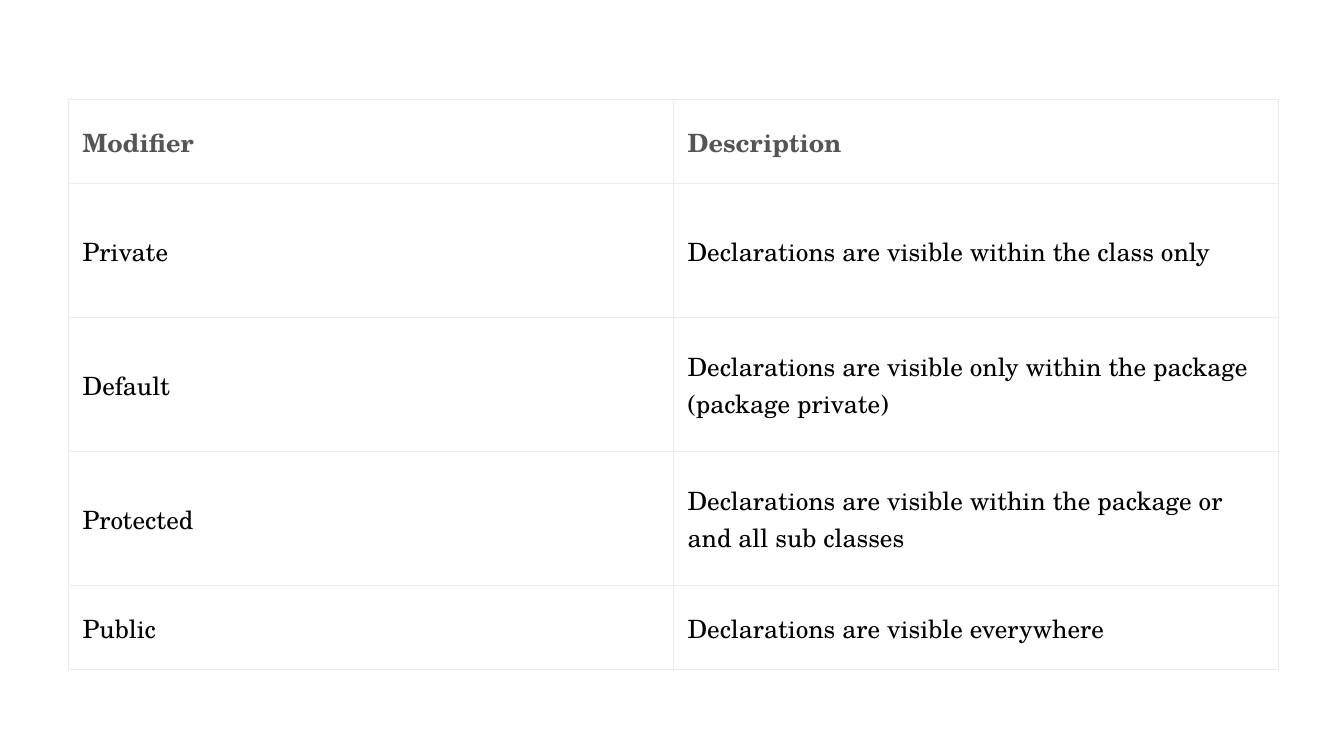
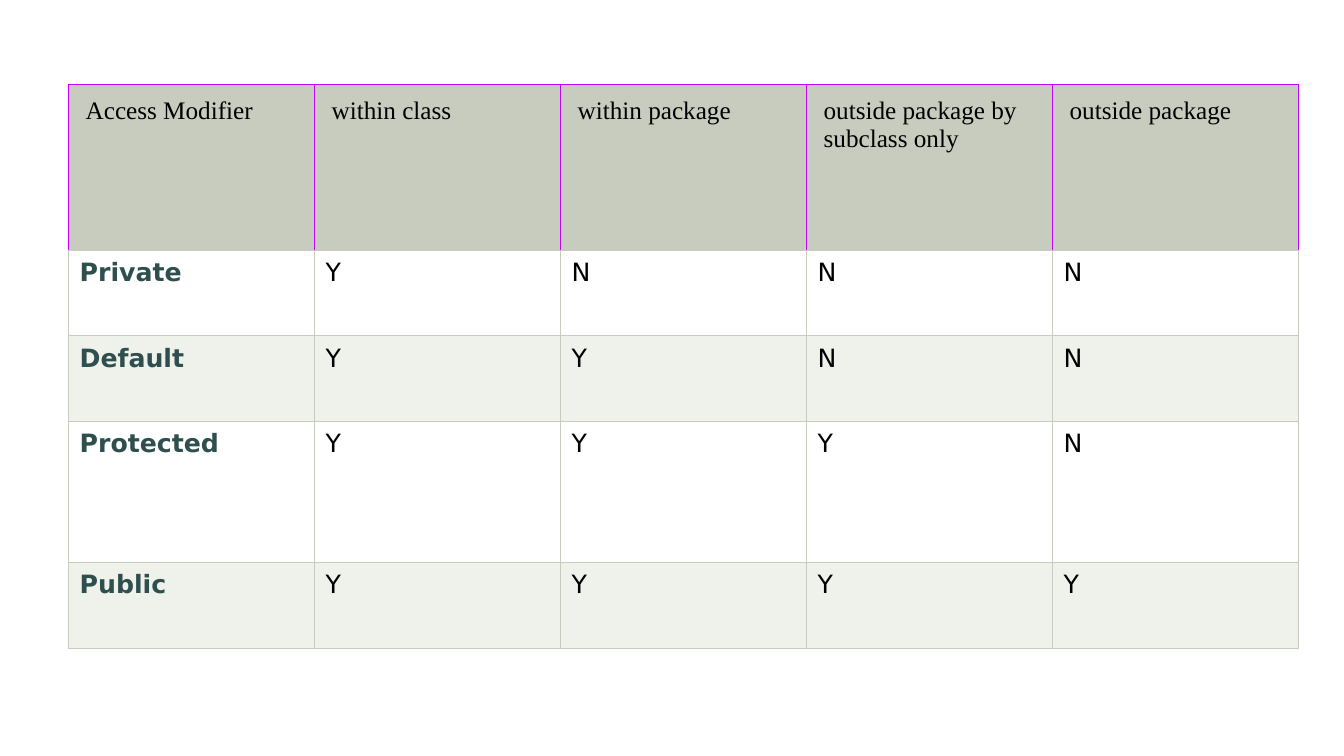
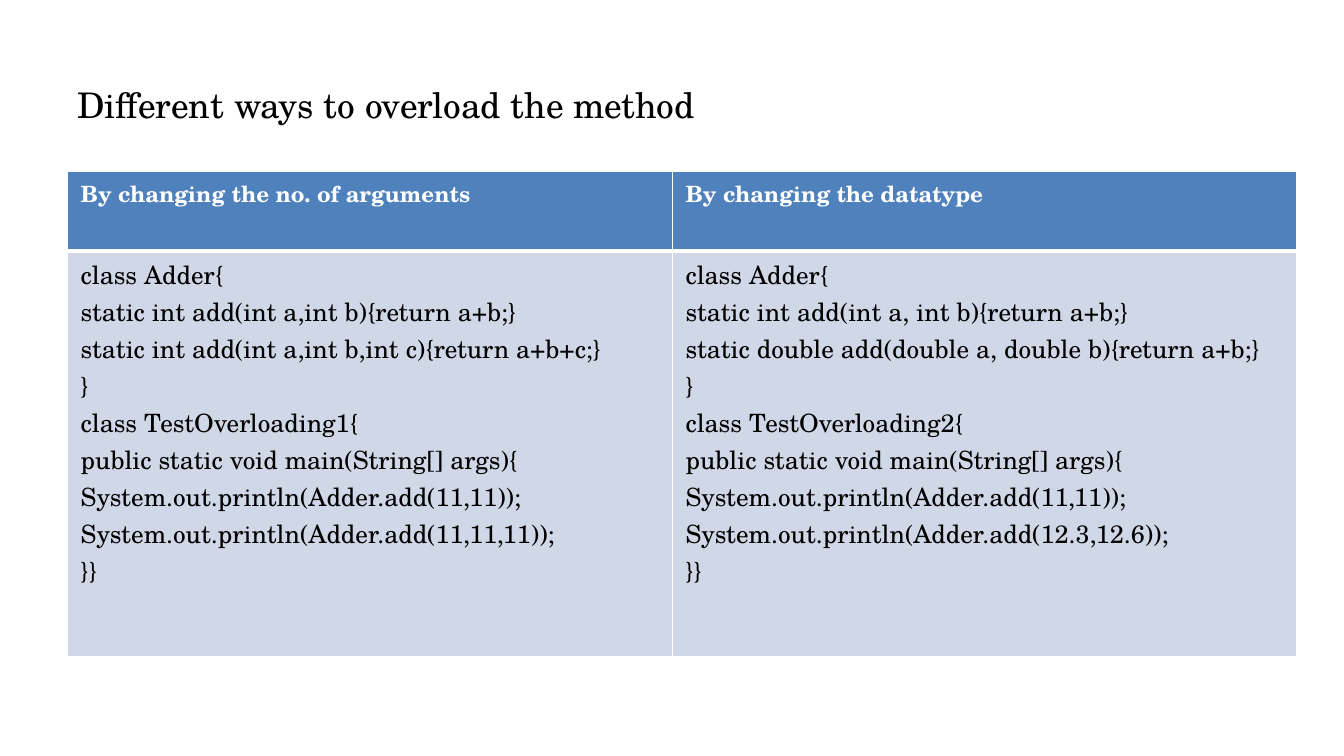
from lxml.etree import SubElement as Sub
from pptx import Presentation
from pptx.dml.color import RGBColor as RGB
from pptx.enum.text import MSO_ANCHOR as Anchor
from pptx.oxml.ns import qn
from pptx.util import Inches, Pt

BLACK = RGB(0x00, 0x00, 0x00)
WHITE = RGB(0xFF, 0xFF, 0xFF)
GREY = RGB(0x55, 0x55, 0x55)
RULE = RGB(0xEA, 0xEA, 0xEC)
SAGE = RGB(0xC7, 0xCC, 0xBE)
PALE = RGB(0xEF, 0xF1, 0xEB)
VIOLET = RGB(0xC0, 0x08, 0xF4)
SLATE = RGB(0x2F, 0x4F, 0x4F)
BLUE = RGB(0x4F, 0x81, 0xBD)
MIST = RGB(0xD0, 0xD8, 0xE8)
SCHOLA, TIMES, DEJAVU = "TeX Gyre Schola", "Times New Roman", "DejaVu Sans"

LEVELS = [
    ("Modifier", "Description"),
    ("Private", "Declarations are visible within the class only"),
    ("Default", "Declarations are visible only within the package (package private)"),
    ("Protected", "Declarations are visible within the package or and all sub classes"),
    ("Public", "Declarations are visible everywhere"),
]
ACCESS = [
    ("Access Modifier", "within class", "within package",
     "outside package by subclass only", "outside package"),
    ("Private", *"YNNN"),
    ("Default", *"YYNN"),
    ("Protected", *"YYYN"),
    ("Public", *"YYYY"),
]
CODE = """class Adder{{
static int add({0}){{return a+b;}}
static {1}
}}
class TestOverloading{2}{{
public static void main(String[] args){{
System.out.println(Adder.add(11,11));
System.out.println(Adder.add({3}));
}}}}"""
WAYS = [
    ("By changing the no. of arguments", "By changing the datatype"),
    (CODE.format("int a,int b", "int add(int a,int b,int c){return a+b+c;}", 1, "11,11,11"),
     CODE.format("int a, int b", "double add(double a, double b){return a+b;}", 2, "12.3,12.6")),
]


def write(frame, text, size=18, font=SCHOLA, color=BLACK, bold=False):
    """Fill a text frame with one paragraph for each line of text."""
    frame.word_wrap = True
    for i, line in enumerate(text.split("\n")):
        para = frame.add_paragraph() if i else frame.paragraphs[0]
        run = para.add_run()
        run.text = line
        run.font.size, run.font.name = Pt(size), font
        run.font.bold, run.font.color.rgb = bold, color


def pad(item, left, top, right, bottom):
    """Set the inner margins of a cell or text frame."""
    item.margin_left, item.margin_top = Inches(left), Inches(top)
    item.margin_right, item.margin_bottom = Inches(right), Inches(bottom)


def edge(cell, lines):
    """Draw the sides of a cell from a map of side to colour and width."""
    props = cell._tc.get_or_add_tcPr()
    for side in "LRTB":
        color, width = lines[side]
        line = Sub(props, qn(f"a:ln{side}"), w=str(Pt(width)))
        fill = Sub(line, qn("a:solidFill"))
        Sub(fill, qn("a:srgbClr"), val=str(color))


def grid(slide, left, top, cols, rows, data, style):
    """Add a table whose cells are styled by a function of row and column."""
    frame = slide.shapes.add_table(
        len(rows), len(cols), Inches(left), Inches(top),
        Inches(sum(cols)), Inches(sum(rows)))
    table = frame.table
    table.horz_banding = False
    for col, width in zip(table.columns, cols):
        col.width = Inches(width)
    for r, (row, height) in enumerate(zip(table.rows, rows)):
        row.height = Inches(height)
        for c, cell in enumerate(row.cells):
            look = style(r, c)
            edge(cell, look["lines"])
            cell.fill.solid()
            cell.fill.fore_color.rgb = look["fill"]
            cell.vertical_anchor = look.get("anchor", Anchor.TOP)
            pad(cell, *look["pad"])
            write(cell.text_frame, data[r][c], **look["text"])


def level_style(r, c):
    """Style the modifier and description table."""
    text = {} if r else dict(color=GREY, bold=True)
    return dict(fill=WHITE, lines=dict.fromkeys("LRTB", (RULE, 0.75)), text=text,
                pad=(0.14, 0.1, 0.11, 0.09), anchor=Anchor.MIDDLE)


def access_style(r, c):
    """Style the access table with a sage head and banded rows."""
    lines = dict.fromkeys("LRTB", (SAGE, 0.75))
    if r == 0:
        lines.update(dict.fromkeys("LRT", (VIOLET, 0.75)))
        return dict(fill=SAGE, lines=lines, text=dict(font=TIMES),
                    pad=(0.17, 0.12, 0.17, 0.12))
    text = dict(font=DEJAVU, color=BLACK if c else SLATE, bold=c == 0)
    return dict(fill=WHITE if r % 2 else PALE, lines=lines, text=text,
                pad=(0.11, 0.08, 0.11, 0.08))


def ways_style(r, c):
    """Style the overloading table with a blue head."""
    lines = dict.fromkeys("LRTB", (WHITE, 1))
    lines["T" if r else "B"] = (WHITE, 3)
    text = {} if r else dict(size=16, color=WHITE, bold=True)
    return dict(fill=MIST if r else BLUE, lines=lines, text=text,
                pad=(0.13, 0.05, 0.13, 0.05))


def title(slide, text, left, top, width, height):
    """Add a slide title."""
    box = slide.shapes.add_textbox(*map(Inches, (left, top, width, height)))
    pad(box.text_frame, 0.1, 0, 0.1, 0)
    write(box.text_frame, text, size=25.2)


def main():
    """Build and save the three slides."""
    deck = Presentation()
    deck.slide_width, deck.slide_height = Inches(13.33), Inches(7.5)
    levels, access, ways = (
        deck.slides.add_slide(deck.slide_layouts[6]) for _ in range(3))
    grid(levels, 0.68, 0.99, [6, 6], [0.83, 1.33, 1.33, 1.33, 0.83], LEVELS, level_style)
    grid(access, 0.68, 0.84, [2.44] * 5, [1.64, 0.85, 0.85, 1.4, 0.85], ACCESS, access_style)
    title(ways, "Different ways to overload the method", 0.67, 0.83, 12, 1)
    grid(ways, 0.67, 1.7, [6, 6.19], [0.79, 4.02], WAYS, ways_style)
    deck.save("out.pptx")


if __name__ == "__main__":
    main()
